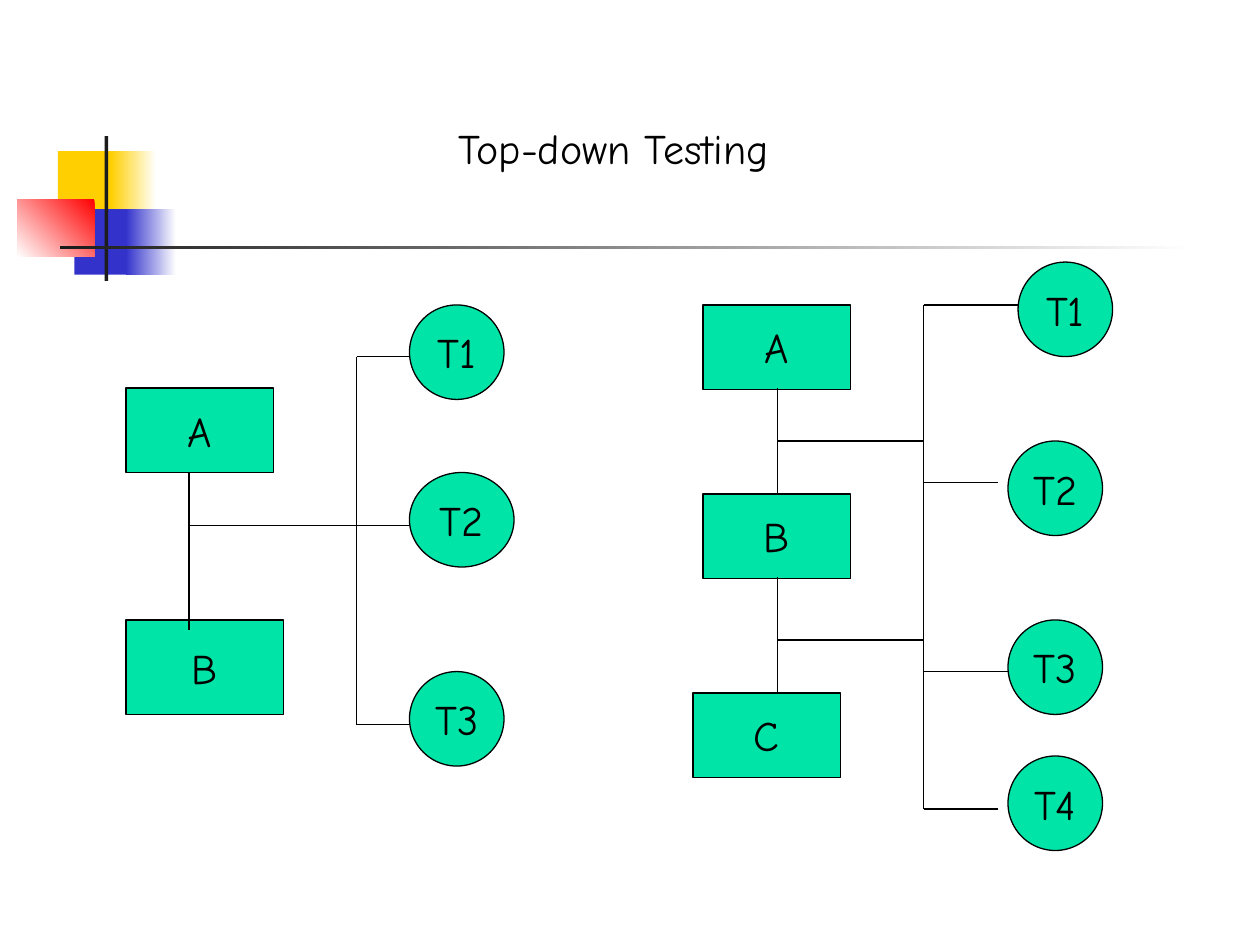
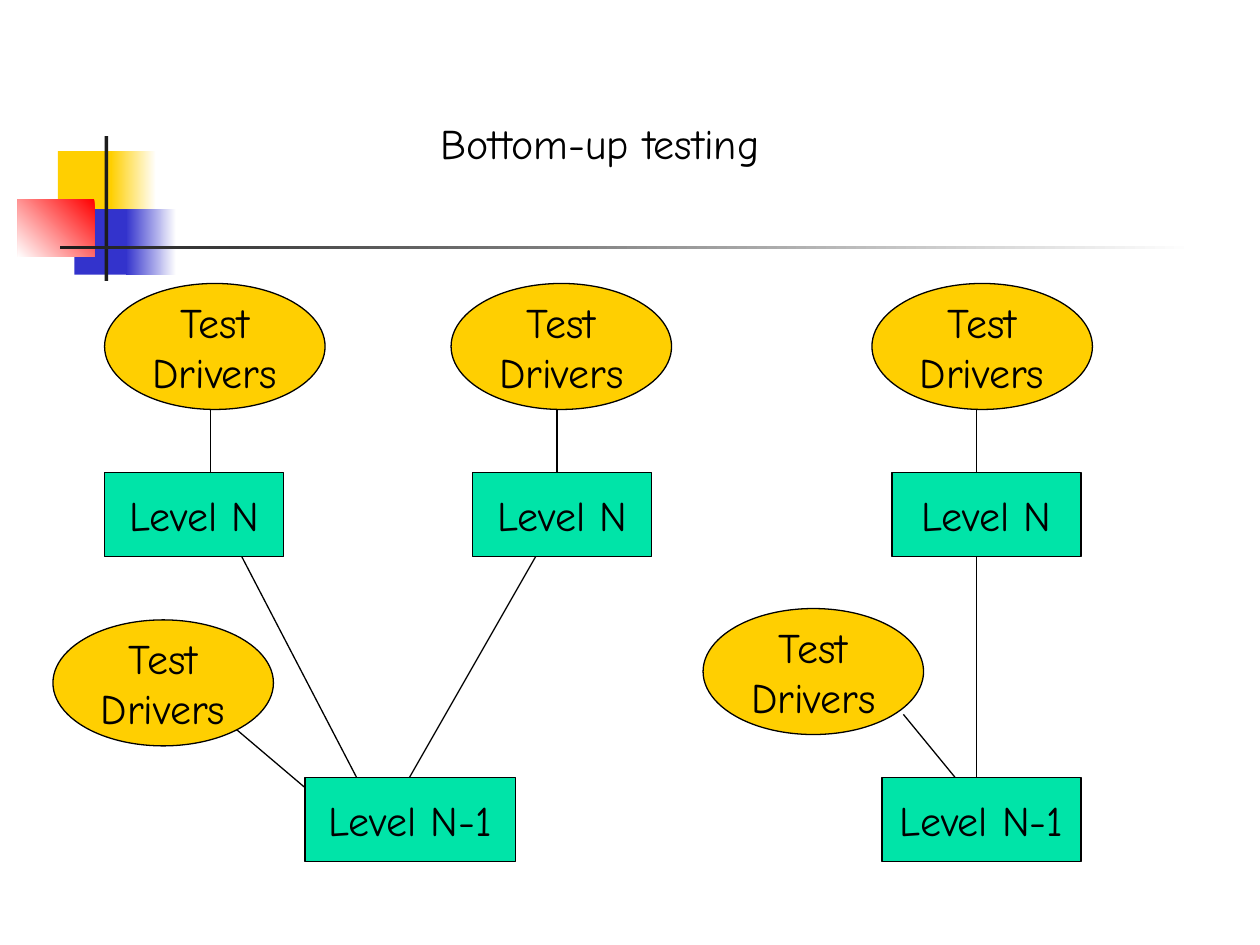
"""Build two diagrams: top-down testing and bottom-up testing."""
from lxml import etree
from pptx import Presentation, util as u
from pptx.dml.color import RGBColor
from pptx.enum import shapes, text
from pptx.oxml import ns

FONT = "Comic Neue"
BLACK = RGBColor(0x00, 0x00, 0x00)
WHITE = RGBColor(0xFF, 0xFF, 0xFF)
GREEN = RGBColor(0x00, 0xE4, 0xA8)
YELLOW = RGBColor(0xFF, 0xCF, 0x01)
BLUE = RGBColor(0x33, 0x33, 0xCC)
RED = RGBColor(0xFF, 0x00, 0x00)
CHARCOAL = RGBColor(0x1C, 0x1C, 0x1C)
RECTANGLE = shapes.MSO_SHAPE.RECTANGLE
OVAL = shapes.MSO_SHAPE.OVAL

# left, top, width, height, gradient start, end colour, counterclockwise angle
DECORATION = [
    (0.46, 1.2, 0.48, 0.52, YELLOW, YELLOW, None),
    (0.88, 1.2, 0.36, 0.52, WHITE, YELLOW, 180),
    (0.59, 1.66, 0.46, 0.52, BLUE, BLUE, None),
    (1, 1.66, 0.4, 0.52, WHITE, BLUE, 180),
    (0.14, 1.58, 0.61, 0.46, RED, WHITE, 225),
    (0.83, 1.08, 0.03, 1.15, CHARCOAL, CHARCOAL, None),
    (0.48, 1.95, 9, 0.03, WHITE, CHARCOAL, 180),
]
TITLES = [
    ("Top-down Testing", 3.54, 0.92, 2.72, False),
    ("Bottom-up testing", 3.4, 0.88, 3.03, True),
]


def add_node(slide, kind, label, left, top, width, height, color=GREEN):
    shape = slide.shapes.add_shape(
        kind, u.Inches(left), u.Inches(top), u.Inches(width), u.Inches(height))
    shape.shadow.inherit = False
    shape.fill.solid()
    shape.fill.fore_color.rgb = color
    shape.line.color.rgb = BLACK
    shape.line.width = u.Pt(0.75)
    text_frame = shape.text_frame
    text_frame.text = label
    text_frame.word_wrap = False
    text_frame.vertical_anchor = text.MSO_ANCHOR.MIDDLE
    for paragraph in text_frame.paragraphs:
        paragraph.alignment = text.PP_ALIGN.CENTER
        for run in paragraph.runs:
            run.font.name = FONT
            run.font.size = u.Pt(24)
            run.font.color.rgb = BLACK


def add_line(slide, start_x, start_y, end_x, end_y):
    line = slide.shapes.add_connector(
        shapes.MSO_CONNECTOR.STRAIGHT, u.Inches(start_x), u.Inches(start_y),
        u.Inches(end_x), u.Inches(end_y))
    line.line.color.rgb = BLACK
    line.line.width = u.Pt(0.75)
    etree.SubElement(line._element.spPr, ns.qn("a:effectLst"))


presentation = Presentation()
presentation.slide_width = u.Inches(10)
presentation.slide_height = u.Inches(7.5)

slides = []
for title, title_left, title_top, title_width, wraps in TITLES:
    slide = presentation.slides.add_slide(presentation.slide_layouts[6])
    slides.append(slide)
    for left, top, width, height, start, end, angle in DECORATION:
        block = slide.shapes.add_shape(
            RECTANGLE, u.Inches(left), u.Inches(top), u.Inches(width), u.Inches(height))
        block.shadow.inherit = False
        block.line.fill.background()
        if angle is None:
            block.fill.solid()
            block.fill.fore_color.rgb = start
        else:
            block.fill.gradient()
            block.fill.gradient_angle = angle
            for stop, color in zip(block.fill.gradient_stops, (start, end)):
                stop.color.rgb = color
    title_box = slide.shapes.add_textbox(
        u.Inches(title_left), u.Inches(title_top), u.Inches(title_width), u.Inches(0.5))
    title_box.text_frame.text = title
    title_box.text_frame.word_wrap = wraps
    title_box.text_frame.auto_size = text.MSO_AUTO_SIZE.SHAPE_TO_FIT_TEXT
    title_run = title_box.text_frame.paragraphs[0].runs[0]
    title_run.font.name = FONT
    title_run.font.size = u.Pt(24)
    title_run.font.color.rgb = BLACK

top_down, bottom_up = slides

for label, left, top, width, height in [
    ("A", 1, 3.08, 1.17, 0.67),
    ("B", 1, 4.92, 1.25, 0.75),
    ("A", 5.58, 2.42, 1.17, 0.67),
    ("B", 5.58, 3.92, 1.17, 0.67),
    ("C", 5.5, 5.5, 1.17, 0.67),
]:
    add_node(top_down, RECTANGLE, label, left, top, width, height)

for label, left, top, width in [
    ("T1", 3.25, 2.42, 0.75),
    ("T2", 3.25, 3.75, 0.83),
    ("T3", 3.25, 5.33, 0.75),
    ("T1", 8.08, 2.08, 0.75),
    ("T2", 8, 3.5, 0.75),
    ("T3", 8, 4.92, 0.75),
    ("T4", 8, 6, 0.75),
]:
    add_node(top_down, OVAL, label, left, top, width, 0.75)

for x, top, bottom in [
    (1.5, 3.75, 5), (2.83, 2.83, 5.75),
    (6.17, 3.08, 3.92), (6.17, 4.58, 5.5), (7.33, 2.42, 6.42),
]:
    add_line(top_down, x, top, x, bottom)

for y, left, right in [
    (4.17, 1.5, 3.25), (2.83, 2.83, 3.25), (5.75, 2.83, 3.25),
    (3.5, 6.17, 7.33), (5.08, 6.17, 7.33),
    (2.42, 7.33, 8.08), (3.83, 7.33, 7.92), (5.33, 7.33, 8), (6.42, 7.33, 7.92),
]:
    add_line(top_down, left, y, right, y)

for label, left, top, width in [
    ("Level N", 0.83, 3.75, 1.42),
    ("Level N", 3.75, 3.75, 1.42),
    ("Level N", 7.08, 3.75, 1.5),
    ("Level N-1", 2.42, 6.17, 1.67),
    ("Level N-1", 7, 6.17, 1.58),
]:
    add_node(bottom_up, RECTANGLE, label, left, top, width, 0.67)

for x in (1.67, 4.42, 7.75):
    add_line(bottom_up, x, 3.25, x, 3.75)

for start_x, start_y, end_x, end_y in [
    (1.92, 4.42, 2.83, 6.17),
    (4.25, 4.42, 3.25, 6.17),
    (7.75, 4.42, 7.75, 6.17),
    (1.83, 5.75, 2.42, 6.25),
    (7.17, 5.67, 7.58, 6.17),
]:
    add_line(bottom_up, start_x, start_y, end_x, end_y)

for left, top in [(0.83, 2.25), (3.58, 2.25), (6.92, 2.25), (0.42, 4.92), (5.58, 4.83)]:
    add_node(bottom_up, OVAL, "Test\nDrivers", left, top, 1.75, 1, YELLOW)

presentation.save("out.pptx")
